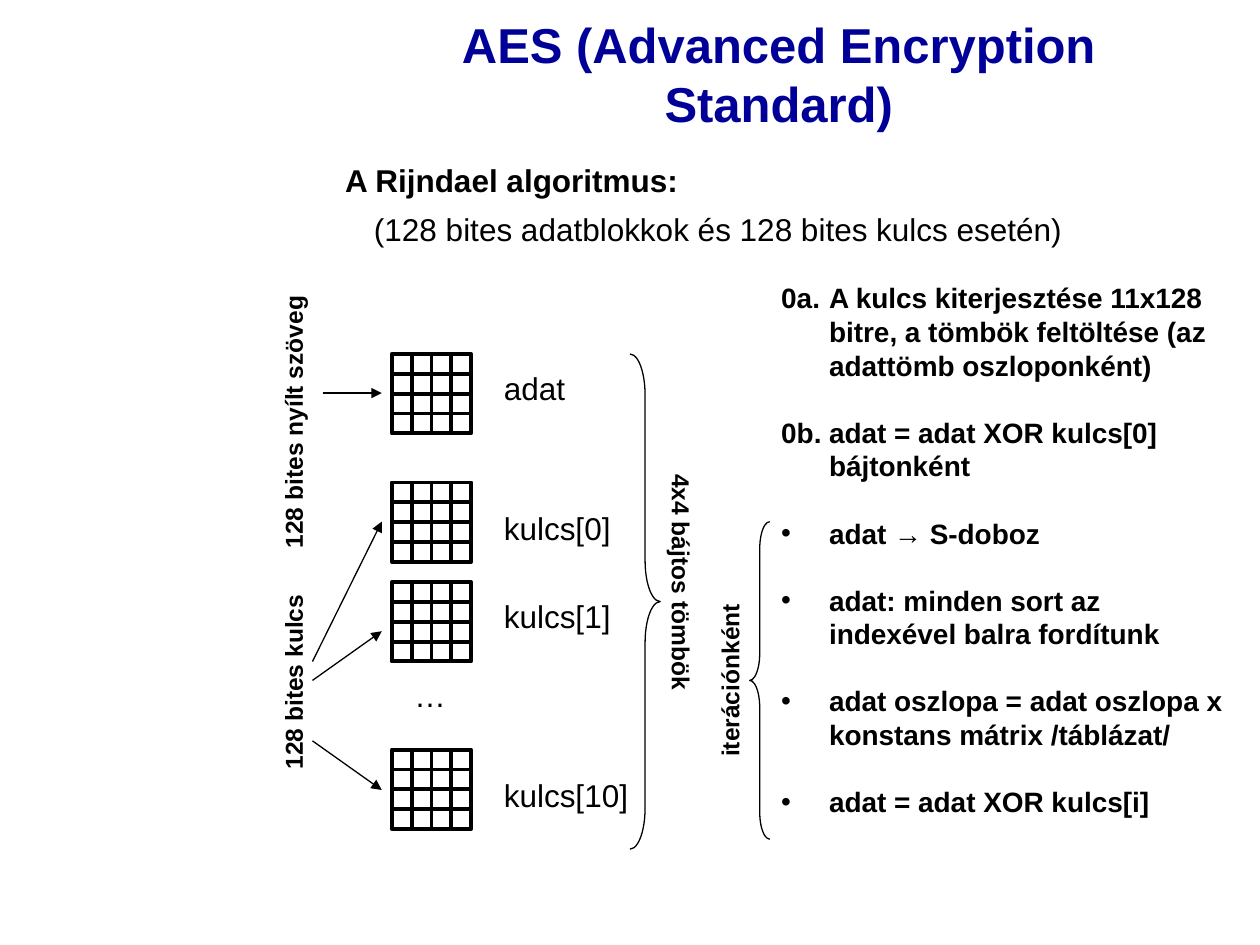
from lxml import etree
from pptx import Presentation
from pptx.dml.color import RGBColor
from pptx.enum.shapes import MSO_CONNECTOR, MSO_SHAPE
from pptx.enum.text import MSO_ANCHOR, MSO_AUTO_SIZE, PP_ALIGN
from pptx.oxml.ns import qn
from pptx.util import Inches, Pt

STRAIGHT = MSO_CONNECTOR.STRAIGHT
RECTANGLE = MSO_SHAPE.RECTANGLE
LEFT_BRACE, RIGHT_BRACE = MSO_SHAPE.LEFT_BRACE, MSO_SHAPE.RIGHT_BRACE
MIDDLE, TOP = MSO_ANCHOR.MIDDLE, MSO_ANCHOR.TOP
CENTER, LEFT = PP_ALIGN.CENTER, PP_ALIGN.LEFT
NO_AUTOFIT = MSO_AUTO_SIZE.NONE

BLACK = RGBColor(0, 0, 0)
NAVY = RGBColor(0, 0, 0x99)
FONT = "Arial"
LINE_FACTOR = 1.2
GRID_SIZE = 0.63

STEPS = [
    ("0a.", "A kulcs kiterjesztése 11x128 bitre, a tömbök feltöltése (az adattömb oszloponként)"),
    ("0b.", "adat = adat XOR kulcs[0] bájtonként"),
    (None, "adat → S-doboz"),
    (None, "adat: minden sort az indexével balra fordítunk"),
    (None, "adat oszlopa = adat oszlopa x konstans mátrix /táblázat/"),
    (None, "adat = adat XOR kulcs[i]"),
]


def place(shape, box):
    shape.left, shape.top, shape.width, shape.height = map(Inches, box)


def style(para, size, bold=False, color=BLACK):
    font = para.font
    font.name, font.size, font.bold = FONT, Pt(size), bold
    font.color.rgb = color


def add_label(page, box, text, size=18, bold=False, rotation=0, wrap=False):
    """A one-line text box; without a right margin the line has room to spare."""
    label = page.shapes.add_textbox(*map(Inches, box))
    label.rotation = rotation
    frame = label.text_frame
    frame.word_wrap = wrap
    frame.auto_size = NO_AUTOFIT
    frame.margin_right = Inches(0)
    para = frame.paragraphs[0]
    para.text = text
    style(para, size, bold)


def add_outline(page, kind, box, weight):
    shape = page.shapes.add_shape(kind, *map(Inches, box))
    shape.shadow.inherit = False
    shape.fill.background()
    shape.line.color.rgb = BLACK
    shape.line.width = Pt(weight)
    return shape


def add_line(page, start, end, weight, arrow=False):
    line = page.shapes.add_connector(STRAIGHT, *map(Inches, start + end))
    line.line.color.rgb = BLACK
    line.line.width = Pt(weight)
    if arrow:
        outline = line._element.spPr.find(qn("a:ln"))
        etree.SubElement(outline, qn("a:tailEnd"), type="triangle")
    etree.SubElement(line._element.spPr, qn("a:effectLst"))


def add_brace(page, kind, box):
    brace = add_outline(page, kind, box, 0.75)
    brace.adjustments[0] = 1.35


def add_byte_grid(page, left, top, size):
    """A 4 x 4 grid: a frame, a middle band each way and two centre lines."""
    quarter, half = size / 4, size / 2
    for box in (
        (left, top, size, size),
        (left + quarter, top, half, size),
        (left, top + quarter, size, half),
    ):
        add_outline(page, RECTANGLE, box, 2.25)
    add_line(page, (left + half, top), (left + half, top + size), 2.25)
    add_line(page, (left, top + half), (left + size, top + half), 2.25)


def fill_title(page, box):
    title = page.shapes.title
    place(title, box)
    title.text_frame.vertical_anchor = MIDDLE
    title.text_frame.auto_size = NO_AUTOFIT
    para = title.text_frame.paragraphs[0]
    para.text = "AES (Advanced Encryption Standard)"
    para.alignment = CENTER
    para.line_spacing = Pt(28 * LINE_FACTOR)
    style(para, 28, True, NAVY)


def add_heading(page, box):
    left, top, width, height = box
    add_label(page, box, "A Rijndael algoritmus:", bold=True, wrap=True)
    add_label(page, (left + 0.23, top + 0.39, 5.66, height),
              "(128 bites adatblokkok és 128 bites kulcs esetén)")


def add_inputs(page, box):
    """Rotated names of the two inputs, with arrows to the grids."""
    left, top, width, height = box
    middle = left + 0.1
    for text, length, center in (
        ("128 bites nyílt szöveg", 2.2, top + 1.1),
        ("128 bites kulcs", 1.59, top + 3.16),
    ):
        add_label(page, (middle - length / 2, center - 0.17, length, 0.34),
                  text, 14, True, 270)
    right = left + width
    for start_x, start_y, end_y in (
        (0.33, 0.87, 0.87), (0.25, 3, 1.89), (0.25, 3.15, 2.76), (0.25, 3.63, 4.02),
    ):
        add_line(page, (left + start_x, top + start_y), (right, top + end_y), 0.75, True)


def add_arrays(page, box):
    """The data and key grids, their names, and the brace that joins them."""
    left, top, width, height = box
    for text, grid_y, label_y, label_width in (
        ("adat", 0, 0.07, 0.68),
        ("kulcs[0]", 1.02, 1.18, 1.05),
        ("kulcs[1]", 1.81, 1.88, 1.05),
        ("kulcs[10]", 3.14, 3.3, 1.18),
    ):
        add_byte_grid(page, left, top + grid_y, GRID_SIZE)
        add_label(page, (left + 0.79, top + label_y, label_width, 0.4), text)
    add_label(page, (left + 0.08, top + 2.51, 0.45, 0.4), "…")
    add_brace(page, RIGHT_BRACE, (left + width - 0.24, top, 0.24, height))
    add_label(page, (left + 1.34, top + 1.64, 1.91, 0.34),
              "4x4 bájtos tömbök", 14, True, 90)


def fill_steps(page, box):
    body = page.placeholders[1]
    place(body, box)
    frame = body.text_frame
    frame.word_wrap = True
    frame.auto_size = NO_AUTOFIT
    frame.vertical_anchor = TOP
    frame.margin_right = Inches(0.05)
    for index, (number, text) in enumerate(STEPS):
        para = frame.add_paragraph() if index else frame.paragraphs[0]
        para.text = f"{number}\t{text}" if number else text
        para.alignment = LEFT
        para.line_spacing = Pt(16 * LINE_FACTOR)
        para.space_before = Pt(16 * LINE_FACTOR if index else 0)
        para.space_after = Pt(0)
        properties = para._p.get_or_add_pPr()
        properties.set("marL", str(Inches(0.38)))
        properties.set("indent", str(-Inches(0.38)))
        if number:
            etree.SubElement(properties, qn("a:buNone"))
        style(para, 16, True)


def add_iteration_brace(page, box):
    left, top, width, height = box
    add_brace(page, LEFT_BRACE, box)
    add_label(page, (left - 0.86, top + height / 2 - 0.17, 1.41, 0.34),
              "iterációnként", 14, True, 270)


def main():
    deck = Presentation()
    deck.slide_width, deck.slide_height = Inches(10), Inches(7.5)
    page = deck.slides.add_slide(deck.slide_layouts[1])
    fill_title(page, (2.79, 0, 6.78, 1.17))
    add_heading(page, (2.64, 1.23, 6.72, 0.4))
    add_inputs(page, (2.23, 2.25, 0.8, 4.02))
    add_arrays(page, (3.11, 2.81, 2.13, 3.93))
    fill_steps(page, (6.1, 2.18, 3.7, 4.37))
    add_iteration_brace(page, (5.95, 4.14, 0.16, 2.52))
    deck.save("out.pptx")


if __name__ == "__main__":
    main()
